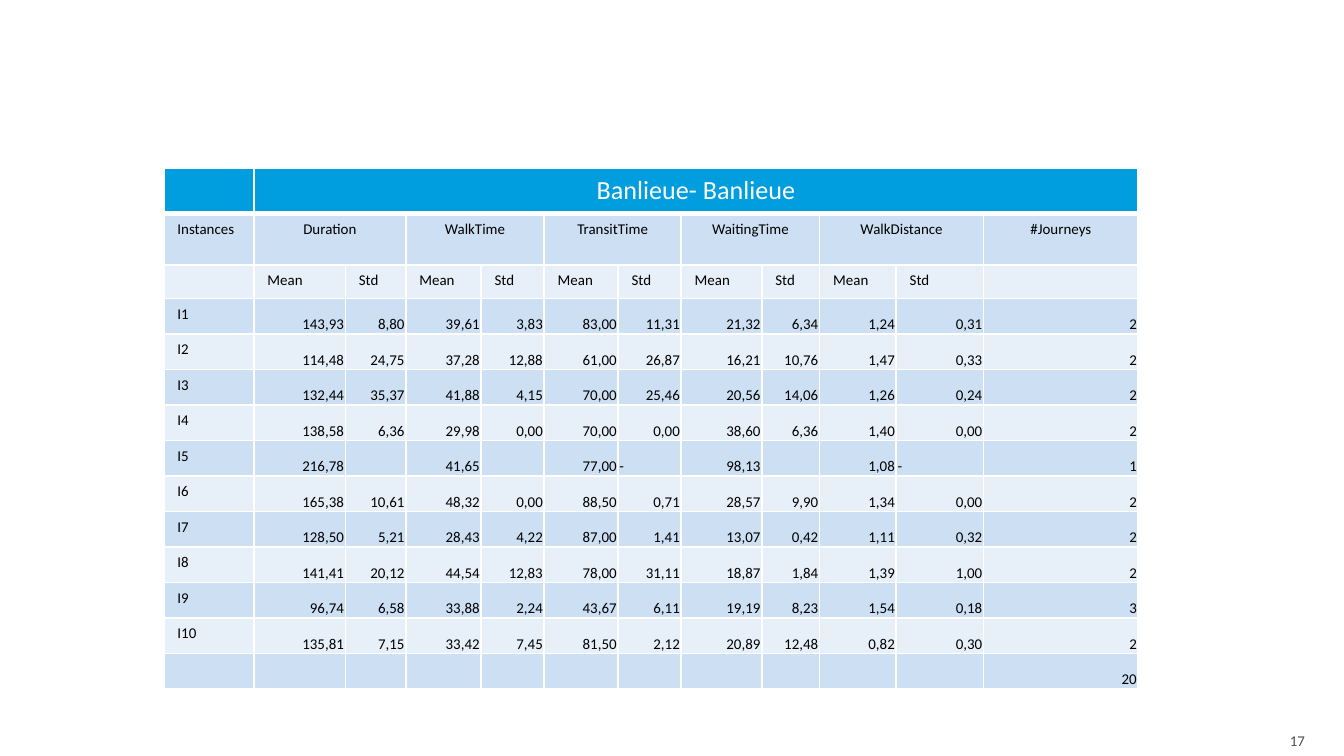
"""Build the slide with the table of journey statistics for Banlieue- Banlieue."""
import lxml.etree
import pptx
import pptx.dml.color
import pptx.enum.text
import pptx.oxml.ns
import pptx.util

Inches = pptx.util.Inches
Pt = pptx.util.Pt
Align = pptx.enum.text.PP_ALIGN
Anchor = pptx.enum.text.MSO_ANCHOR
qn = pptx.oxml.ns.qn

TITLE = "Banlieue- Banlieue"
MEASURES = ["Duration", "WalkTime", "TransitTime", "WaitingTime", "WalkDistance"]
STATISTICS = ["Mean", "Std"]
RESULTS = [
    ["I1", "143,93", "8,80", "39,61", "3,83", "83,00", "11,31", "21,32", "6,34", "1,24", "0,31", "2"],
    ["I2", "114,48", "24,75", "37,28", "12,88", "61,00", "26,87", "16,21", "10,76", "1,47", "0,33", "2"],
    ["I3", "132,44", "35,37", "41,88", "4,15", "70,00", "25,46", "20,56", "14,06", "1,26", "0,24", "2"],
    ["I4", "138,58", "6,36", "29,98", "0,00", "70,00", "0,00", "38,60", "6,36", "1,40", "0,00", "2"],
    ["I5", "216,78", "", "41,65", "", "77,00", "-", "98,13", "", "1,08", "-", "1"],
    ["I6", "165,38", "10,61", "48,32", "0,00", "88,50", "0,71", "28,57", "9,90", "1,34", "0,00", "2"],
    ["I7", "128,50", "5,21", "28,43", "4,22", "87,00", "1,41", "13,07", "0,42", "1,11", "0,32", "2"],
    ["I8", "141,41", "20,12", "44,54", "12,83", "78,00", "31,11", "18,87", "1,84", "1,39", "1,00", "2"],
    ["I9", "96,74", "6,58", "33,88", "2,24", "43,67", "6,11", "19,19", "8,23", "1,54", "0,18", "3"],
    ["I10", "135,81", "7,15", "33,42", "7,45", "81,50", "2,12", "20,89", "12,48", "0,82", "0,30", "2"],
    [""] * 11 + ["20"],
]
PAGE_NUMBER = "17"

FONT = "Calibri"
COLOURS = {"header": "009DDF", "odd": "CCDFF3", "even": "E7EFF9",
           "white": "FFFFFF", "text": "000000", "number": "4E4E4E"}
SLIDE_WIDTH = 10
SLIDE_HEIGHT = SLIDE_WIDTH * 9 / 16
TABLE_LEFT, TABLE_TOP, TABLE_HEIGHT = 1.22, 1.25, 3.88
COLUMN_WIDTHS = [0.67, 0.68, 0.45, 0.56, 0.47, 0.55, 0.47, 0.6, 0.43, 0.57, 0.65, 1.15]
HEADING_HEIGHTS = [0.34, 0.38, 0.25]


def rgb(name):
    return pptx.dml.color.RGBColor.from_string(COLOURS[name])


def write(paragraph, text, size, colour, align):
    paragraph.alignment = align
    if not text:
        end = lxml.etree.SubElement(paragraph._p, qn("a:endParaRPr"))
        end.set("sz", str(size * 100))
        return
    span = paragraph.add_run()
    span.text = text
    span.font.name = FONT
    span.font.size = Pt(size)
    span.font.color.rgb = rgb(colour)


def add_borders(cell, bottom):
    properties = cell._tc.get_or_add_tcPr()
    for side, width in {"L": 1, "R": 1, "T": 1, "B": bottom}.items():
        line = lxml.etree.SubElement(properties, qn(f"a:ln{side}"), w=str(Pt(width)))
        fill = lxml.etree.SubElement(line, qn("a:solidFill"))
        lxml.etree.SubElement(fill, qn("a:srgbClr"), val=COLOURS["white"])


def fill_cell(cell, text, row, column):
    is_header = row == 0
    is_value = row >= len(HEADING_HEIGHTS) and column > 0
    add_borders(cell, 3 if is_header else 1)
    cell.fill.solid()
    cell.fill.fore_color.rgb = rgb("header" if is_header else "odd" if row % 2 else "even")
    align = Align.LEFT
    if is_value:
        cell.vertical_anchor = Anchor.BOTTOM
        cell.margin_left = cell.margin_right = cell.margin_top = Inches(0.01)
        cell.margin_bottom = 0
        if text != "-":
            align = Align.RIGHT
    elif row < 2 and column > 0:
        align = Align.CENTER
    size, colour = (14, "white") if is_header and text else (8, "text")
    write(cell.text_frame.paragraphs[0], text, size, colour, align)


def add_results(page):
    last = len(COLUMN_WIDTHS) - 1
    measure_row = ["Instances"]
    for measure in MEASURES:
        measure_row += [measure, ""]
    rows = [
        ["", TITLE] + [""] * (last - 1),
        measure_row + ["#Journeys"],
        [""] + STATISTICS * len(MEASURES) + [""],
    ] + RESULTS
    body_height = (TABLE_HEIGHT - sum(HEADING_HEIGHTS)) / len(RESULTS)
    heights = HEADING_HEIGHTS + [body_height] * len(RESULTS)

    frame = page.shapes.add_table(
        len(rows), len(COLUMN_WIDTHS), Inches(TABLE_LEFT), Inches(TABLE_TOP),
        Inches(sum(COLUMN_WIDTHS)), Inches(TABLE_HEIGHT))
    table = frame.table
    table.first_row = table.horz_banding = False
    for column, width in zip(table.columns, COLUMN_WIDTHS):
        column.width = Inches(width)
    for row, height in zip(table.rows, heights):
        row.height = Inches(height)
    for i, texts in enumerate(rows):
        for j, text in enumerate(texts):
            fill_cell(table.cell(i, j), text, i, j)
    table.cell(0, 1).merge(table.cell(0, last))
    for j in range(1, last, len(STATISTICS)):
        table.cell(1, j).merge(table.cell(1, j + 1))


def add_page_number(page):
    box = page.shapes.add_textbox(Inches(8.8), Inches(5.39), Inches(0.91), Inches(0.24))
    frame = box.text_frame
    frame.word_wrap = True
    frame.vertical_anchor = Anchor.MIDDLE
    frame.margin_right = 0
    write(frame.paragraphs[0], PAGE_NUMBER, 8, "number", Align.RIGHT)


def main():
    deck = pptx.Presentation()
    deck.slide_width = Inches(SLIDE_WIDTH)
    deck.slide_height = Inches(SLIDE_HEIGHT)
    page = deck.slides.add_slide(deck.slide_layouts[6])
    add_page_number(page)
    add_results(page)
    deck.save("out.pptx")


if __name__ == "__main__":
    main()
